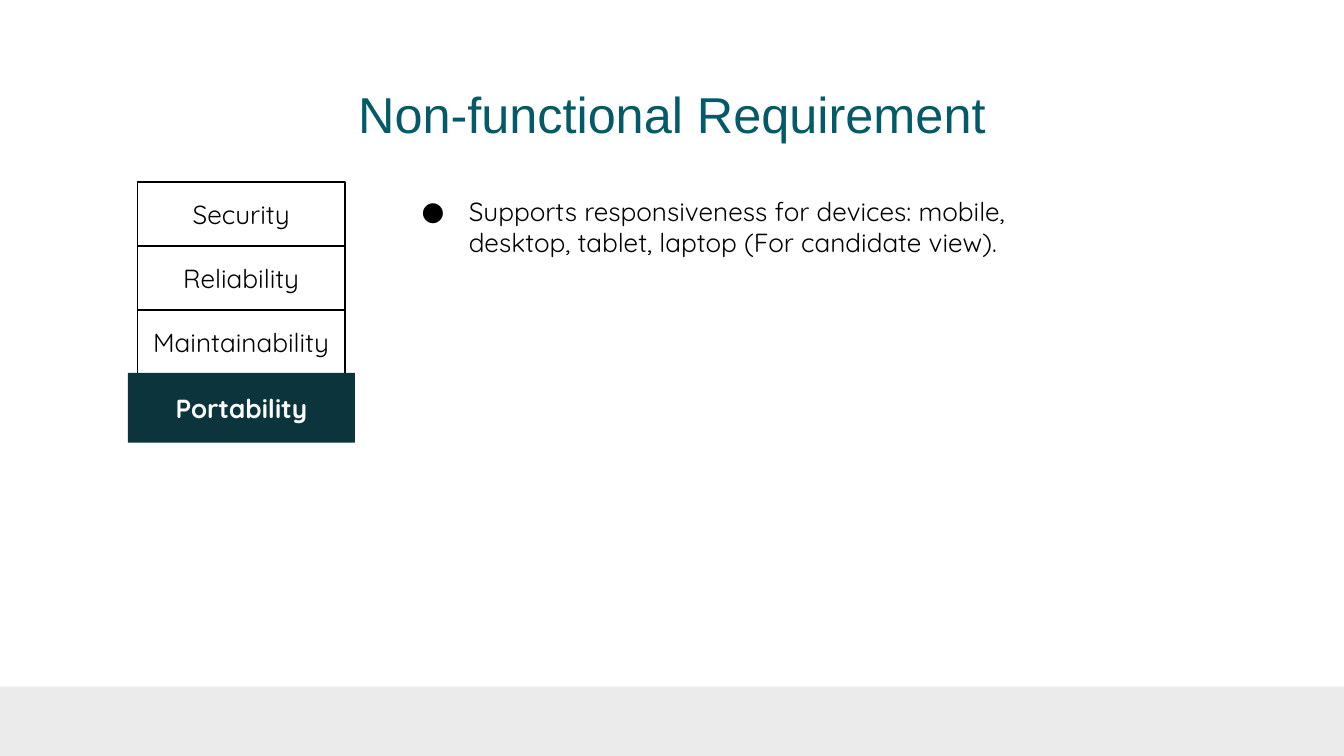
"""Builds the non-functional requirement slide on portability."""
from dataclasses import dataclass

from lxml import etree
from pptx import Presentation, util as u
from pptx.dml.color import RGBColor
from pptx.enum import shapes, text
from pptx.oxml.ns import qn


@dataclass(frozen=True)
class Theme:
    title_font: str = "Arial"
    body_font: str = "Quicksand"
    title_size: int = 27
    body_size: int = 14
    teal: str = "045A68"
    dark: str = "0C343D"
    ink: str = "000000"
    paper: str = "FFFFFF"
    band: str = "EBEBEB"


class SlideBuilder:
    def __init__(self, slide, theme):
        self.slide = slide
        self.theme = theme

    def set_text(self, frame, wording, font, size, color, align, bold=False):
        frame.word_wrap = True
        paragraph = frame.paragraphs[0]
        paragraph.text = wording
        paragraph.alignment = align
        paragraph.font.name = font
        paragraph.font.size = u.Pt(size)
        paragraph.font.bold = bold
        paragraph.font.color.rgb = RGBColor.from_string(color)

    def block(self, left, top, width, height, fill, line=None):
        block = self.slide.shapes.add_shape(
            shapes.MSO_SHAPE.RECTANGLE, *map(u.Cm, (left, top, width, height)))
        block.shadow.inherit = False
        block.fill.solid()
        block.fill.fore_color.rgb = RGBColor.from_string(fill)
        if line:
            block.line.color.rgb = RGBColor.from_string(line)
            block.line.width = u.Pt(1)
        else:
            block.line.fill.background()
        return block

    def tab(self, wording, left, top, width, height, active=False):
        theme = self.theme
        fill, line, color = ((theme.dark, None, theme.paper) if active
                             else (theme.paper, theme.ink, theme.ink))
        frame = self.block(left, top, width, height, fill, line).text_frame
        frame.vertical_anchor = text.MSO_ANCHOR.MIDDLE
        self.set_text(frame, wording, theme.body_font, theme.body_size, color,
                      text.PP_ALIGN.CENTER, active)

    def text_area(self, left, top, width, height, anchor):
        frame = self.slide.shapes.add_textbox(
            *map(u.Cm, (left, top, width, height))).text_frame
        frame.margin_top = frame.margin_bottom = u.Cm(0.25)
        frame.vertical_anchor = anchor
        return frame

    def title(self, wording, left, top, width, height):
        frame = self.text_area(left, top, width, height, text.MSO_ANCHOR.MIDDLE)
        self.set_text(frame, wording, self.theme.title_font, self.theme.title_size,
                      self.theme.teal, text.PP_ALIGN.CENTER)

    def bullet(self, wording, left, top, width, height):
        theme = self.theme
        frame = self.text_area(left, top, width, height, text.MSO_ANCHOR.TOP)
        properties = frame.paragraphs[0]._p.get_or_add_pPr()
        properties.set("marL", str(u.Cm(1.27)))
        properties.set("indent", str(-u.Cm(0.89)))
        bullet_color = etree.SubElement(properties, qn("a:buClr"))
        etree.SubElement(bullet_color, qn("a:srgbClr"), val=theme.ink)
        etree.SubElement(properties, qn("a:buFont"), typeface=theme.body_font)
        etree.SubElement(properties, qn("a:buChar"), char="●")
        self.set_text(frame, wording, theme.body_font, theme.body_size, theme.ink,
                      text.PP_ALIGN.LEFT)


def main():
    deck = Presentation()
    deck.slide_width, deck.slide_height = u.Cm(25.4), u.Cm(14.29)
    theme = Theme()
    page = SlideBuilder(deck.slides.add_slide(deck.slide_layouts[6]), theme)

    page.block(0, 12.98, 25.4, 1.31, theme.band)
    page.title("Non-functional Requirement", 2, 1.32, 21.4, 1.63)

    tabs_top, tab_height = 3.44, 1.21
    for row, quality in enumerate(("Security", "Reliability", "Maintainability")):
        page.tab(quality, 2.6, tabs_top + row * tab_height, 3.92, tab_height)
    page.tab("Portability", 2.42, 7.05, 4.29, 1.32, active=True)

    page.bullet("Supports responsiveness for devices: mobile, desktop, tablet, "
                "laptop (For candidate view).", 7.34, tabs_top, 12.45, 8.15)
    deck.save("out.pptx")


if __name__ == "__main__":
    main()
